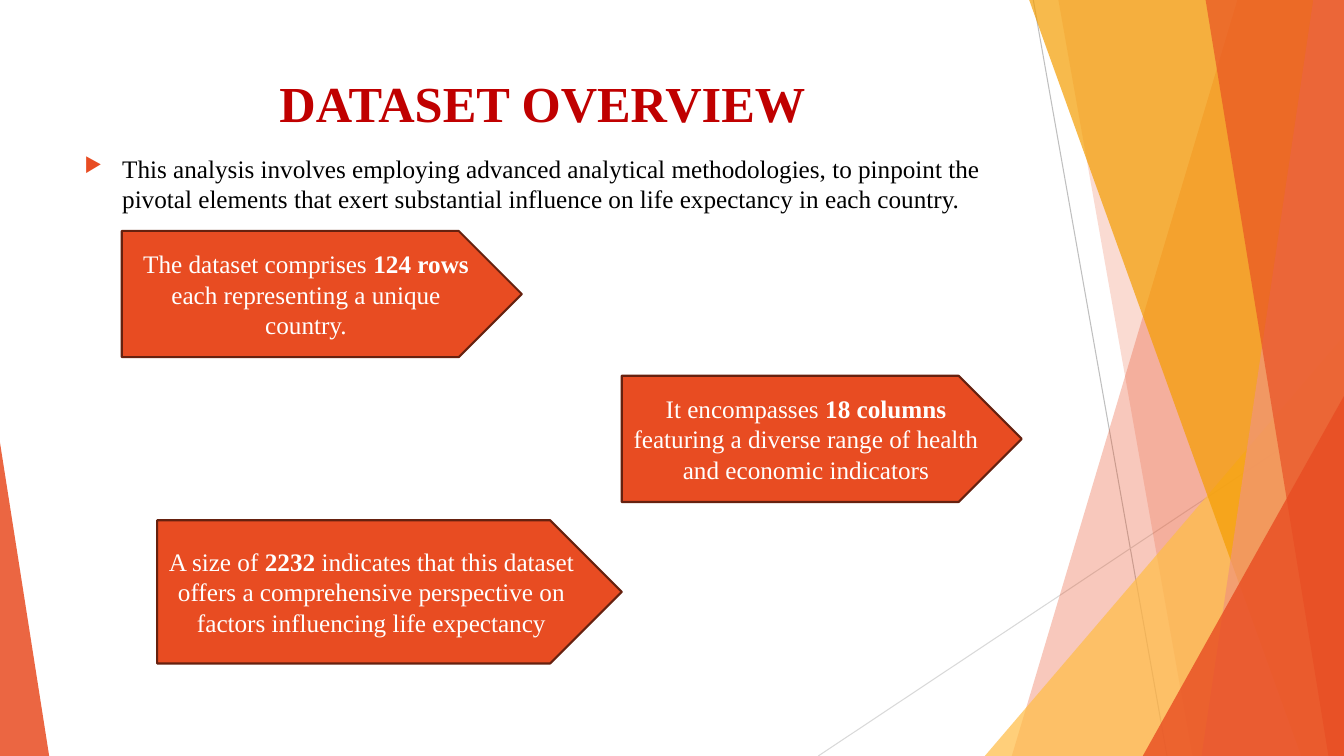
from dataclasses import dataclass

from lxml.etree import SubElement
from pptx import Presentation
from pptx.dml.color import RGBColor
from pptx.enum.shapes import MSO_CONNECTOR, MSO_SHAPE
from pptx.enum.text import MSO_ANCHOR, PP_ALIGN
from pptx.oxml.ns import qn
from pptx.shapes.autoshape import Shape
from pptx.shapes.shapetree import SlideShapes
from pptx.text.text import TextFrame, _Run as Run
from pptx.util import Cm, Pt

ORANGE = RGBColor(0xE8, 0x4C, 0x22)
AMBER = RGBColor(0xF4, 0x9D, 0x00)
YELLOW = RGBColor(0xFF, 0xBD, 0x47)
SALMON = RGBColor(0xF1, 0x94, 0x7A)
BROWN = RGBColor(0x66, 0x21, 0x0F)
DARK_RED = RGBColor(0xC0, 0x00, 0x00)
GREY = RGBColor(0xBF, 0xBF, 0xBF)
LIGHT_GREY = RGBColor(0xD9, 0xD9, 0xD9)
BLACK = RGBColor(0x00, 0x00, 0x00)
WHITE = RGBColor(0xFF, 0xFF, 0xFF)
FONT = "Times New Roman"
WIDTH, HEIGHT = 33.87, 19.05
BLEED = -0.02


@dataclass(frozen=True)
class Ray:
    start: tuple[float, float]
    end: tuple[float, float]
    color: RGBColor


@dataclass(frozen=True)
class Band:
    top_x: float
    bottom_x: float
    color: RGBColor
    opacity: int


@dataclass(frozen=True)
class Wedge:
    left: float
    top: float
    width: float
    apex: float
    color: RGBColor
    opacity: int


@dataclass(frozen=True)
class Fact:
    left: float
    top: float
    width: float
    height: float
    lead: str
    figure: str
    rest: str


RAYS = [
    Ray((26.04, 0), (29.41, HEIGHT), GREY),
    Ray((WIDTH, 10.24), (20.62, HEIGHT), LIGHT_GREY),
]
DECOR = [
    Band(31.19, 25.5, ORANGE, 30),
    Band(26.67, 30.05, ORANGE, 20),
    Wedge(24.82, 8.46, 9.05, 1, YELLOW, 72),
    Band(25.93, 32.79, AMBER, 70),
    Band(33.1, 30.28, SALMON, 70),
    Band(30.38, 33.48, ORANGE, 65),
    Wedge(28.8, 9.98, 5.07, 1, ORANGE, 80),
    Wedge(0, 11.15, 1.24, 0, ORANGE, 85),
]
FACTS = [
    Fact(3.07, 5.82, 10.08, 3.18, "The dataset comprises ", "124 rows ",
         "each representing a unique country."),
    Fact(15.67, 9.47, 10.08, 3.18, "It encompasses ", "18 columns ",
         "featuring a diverse range of health and economic indicators"),
    Fact(3.96, 13.11, 11.71, 3.61, "A size of ", "2232",
         " indicates that this dataset offers a comprehensive perspective on "
         "factors influencing life expectancy"),
]
TITLE = "DATASET OVERVIEW "
SUMMARY = ("This analysis involves employing advanced analytical methodologies, to pinpoint the "
           "pivotal elements that exert substantial influence on life expectancy in each country.")


def style_run(run: Run, size: int, color: RGBColor, bold: bool = False) -> None:
    run.font.name = FONT
    run.font.size = Pt(size)
    run.font.bold = bold
    run.font.color.rgb = color


def fill_translucent(shape: Shape, color: RGBColor, opacity: int) -> None:
    shape.shadow.inherit = False
    shape.line.fill.background()
    shape.fill.solid()
    shape.fill.fore_color.rgb = color
    color_element = shape.fill._xPr.find(qn("a:solidFill"))[0]
    SubElement(color_element, qn("a:alpha"), val=str(opacity * 1000))


def draw_ray(shapes: SlideShapes, ray: Ray) -> None:
    ends = [Cm(value) for value in ray.start + ray.end]
    line = shapes.add_connector(MSO_CONNECTOR.STRAIGHT, *ends)
    line.line.color.rgb = ray.color
    line.line.width = Pt(0.75)
    SubElement(line._element.spPr, qn("a:effectLst"))


def draw_band(shapes: SlideShapes, band: Band) -> None:
    outline = shapes.build_freeform(Cm(band.top_x), Cm(BLEED))
    corners = [(WIDTH, BLEED), (WIDTH, HEIGHT), (band.bottom_x, HEIGHT)]
    outline.add_line_segments([(Cm(x), Cm(y)) for x, y in corners], close=True)
    fill_translucent(outline.convert_to_shape(), band.color, band.opacity)


def draw_wedge(shapes: SlideShapes, wedge: Wedge) -> None:
    triangle = shapes.add_shape(
        MSO_SHAPE.ISOSCELES_TRIANGLE, Cm(wedge.left), Cm(wedge.top),
        Cm(wedge.width), Cm(HEIGHT - wedge.top))
    triangle.adjustments[0] = wedge.apex
    fill_translucent(triangle, wedge.color, wedge.opacity)


def add_text(shapes: SlideShapes, top: float, height: float, text: str) -> TextFrame:
    frame = shapes.add_textbox(Cm(1.88), Cm(top), Cm(23.88), Cm(height)).text_frame
    frame.word_wrap = True
    frame.text = text
    return frame


def draw_title(shapes: SlideShapes) -> None:
    heading = add_text(shapes, 1.7, 3.66, TITLE).paragraphs[0]
    heading.alignment = PP_ALIGN.CENTER
    style_run(heading.runs[0], 36, DARK_RED, bold=True)


def draw_summary(shapes: SlideShapes) -> None:
    summary = add_text(shapes, 3.73, 13.06, SUMMARY).paragraphs[0]
    style_run(summary.runs[0], 18, BLACK)
    properties = summary._p.get_or_add_pPr()
    properties.set("marL", str(Cm(0.95)))
    properties.set("indent", str(-Cm(0.95)))
    bullet_color = SubElement(properties, qn("a:buClr"))
    SubElement(bullet_color, qn("a:srgbClr"), val=str(ORANGE))
    SubElement(properties, qn("a:buSzPct"), val="80000")
    SubElement(properties, qn("a:buChar"), char="▶")


def draw_fact(shapes: SlideShapes, fact: Fact) -> None:
    arrow = shapes.add_shape(
        MSO_SHAPE.PENTAGON, Cm(fact.left), Cm(fact.top), Cm(fact.width), Cm(fact.height))
    arrow.shadow.inherit = False
    arrow.fill.solid()
    arrow.fill.fore_color.rgb = ORANGE
    arrow.line.color.rgb = BROWN
    arrow.line.width = Pt(1.5)
    frame = arrow.text_frame
    frame.word_wrap = True
    frame.vertical_anchor = MSO_ANCHOR.MIDDLE
    sentence = frame.paragraphs[0]
    sentence.alignment = PP_ALIGN.CENTER
    for part in (fact.lead, fact.figure, fact.rest):
        run = sentence.add_run()
        run.text = part
        style_run(run, 18, WHITE, bold=part == fact.figure)


def main() -> None:
    deck = Presentation()
    deck.slide_width, deck.slide_height = Cm(WIDTH), Cm(HEIGHT)
    shapes = deck.slides.add_slide(deck.slide_layouts[6]).shapes
    for ray in RAYS:
        draw_ray(shapes, ray)
    for piece in DECOR:
        if isinstance(piece, Band):
            draw_band(shapes, piece)
        else:
            draw_wedge(shapes, piece)
    draw_title(shapes)
    draw_summary(shapes)
    for fact in FACTS:
        draw_fact(shapes, fact)
    deck.save("out.pptx")


if __name__ == "__main__":
    main()
